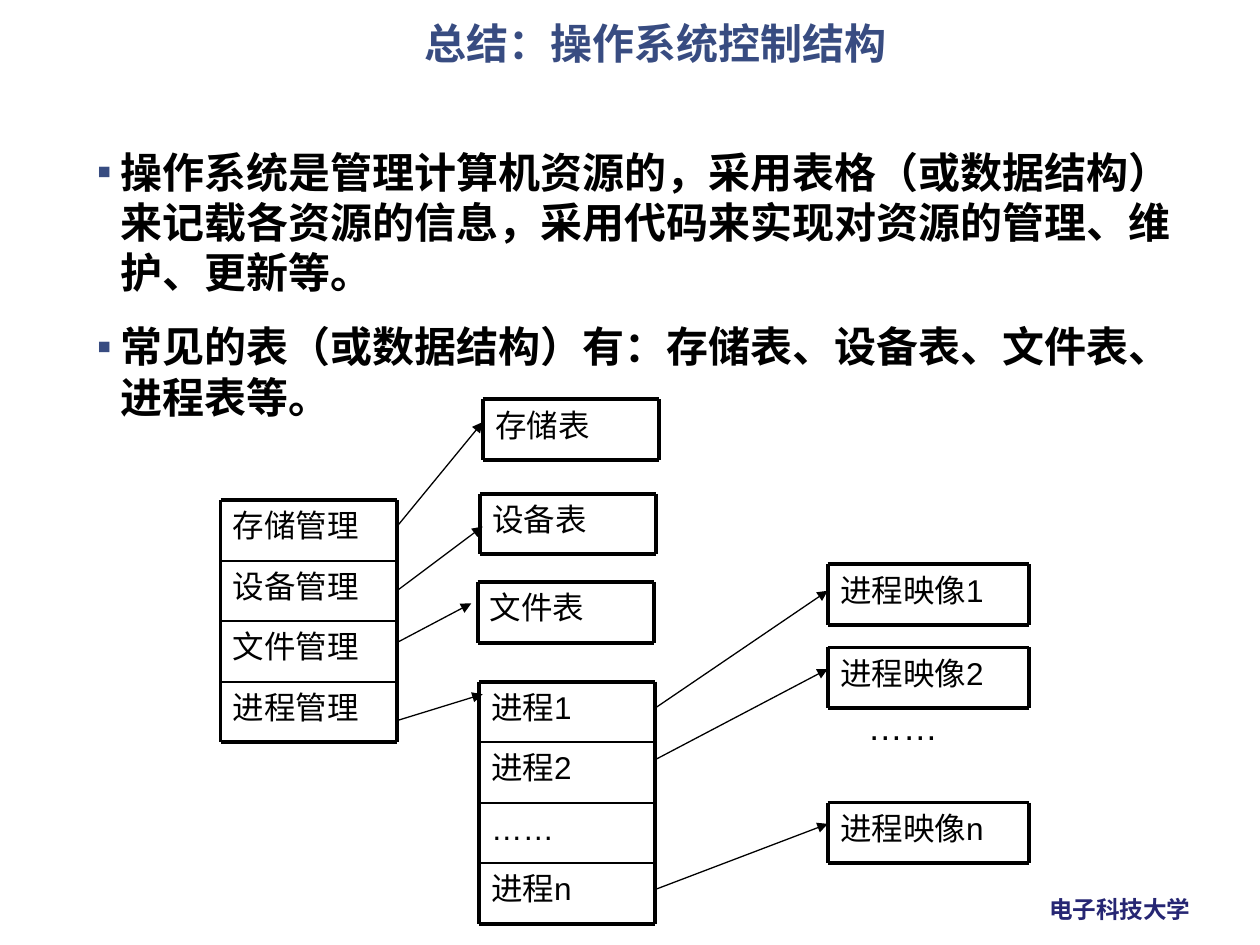
from pptx import Presentation
from pptx.dml.color import RGBColor
from pptx.enum import shapes, text
from pptx.oxml.ns import qn
from pptx.util import Pt
from lxml import etree

BLACK = RGBColor(0x00, 0x00, 0x00)
BLUE = RGBColor(0x38, 0x4C, 0x81)
NAVY = RGBColor(0x26, 0x26, 0x73)
CJK, LATIN = "Noto Sans CJK SC", "Arial"
ROW = 34.6


def style(paragraph, size, color, face, bold=False):
    for run in paragraph.runs:
        font = run.font
        font.size, font.bold, font.name = Pt(size), bold, face
        font.color.rgb = color
        if face == CJK:
            etree.SubElement(run._r.get_or_add_rPr(), qn("a:ea"), typeface=face)


def place(shape, left, top, width, height):
    shape.left, shape.top, shape.width, shape.height = map(Pt, (left, top, width, height))
    frame = shape.text_frame
    frame.auto_size = text.MSO_AUTO_SIZE.NONE
    frame.vertical_anchor = text.MSO_ANCHOR.TOP
    frame.word_wrap = True
    return frame


def add_label(slide, left, top, width, height, words, size, color=BLACK, face=LATIN, bold=False):
    box = slide.shapes.add_textbox(0, 0, 0, 0)
    frame = place(box, left, top, width, height)
    frame.text = words
    style(frame.paragraphs[0], size, color, face, bold)
    return frame


def add_line(slide, x1, y1, x2, y2, weight, arrow=False):
    line = slide.shapes.add_connector(
        shapes.MSO_CONNECTOR.STRAIGHT, Pt(x1), Pt(y1), Pt(x2), Pt(y2))
    line.line.color.rgb = BLACK
    line.line.width = Pt(weight)
    if arrow:
        etree.SubElement(line.line._get_or_add_ln(), qn("a:tailEnd"), type="triangle")
    etree.SubElement(line._element.spPr, qn("a:effectLst"))


def add_stack(slide, left, top, width, labels):
    """Boxed column of equal rows: heavy frame, thin rules between rows."""
    right, bottom = left + width, top + ROW * len(labels)
    for i, label in enumerate(labels):
        add_label(slide, left, top + i * ROW, width, ROW, label, 18)
    for i in range(len(labels) + 1):
        y = top + i * ROW
        add_line(slide, left, y, right, y, 2.25 if i in (0, len(labels)) else 1)
    for x in (left, right):
        add_line(slide, x, top, x, bottom, 2.25)


def add_title(slide, left, top, width, height):
    frame = place(slide.shapes.title, left, top, width, height)
    frame.text = "总结：操作系统控制结构"
    heading = frame.paragraphs[0]
    heading.alignment = text.PP_ALIGN.CENTER
    heading.line_spacing = 0.9
    style(heading, 24, BLUE, CJK, True)


def add_points(slide, left, top, width, height):
    frame = place(slide.placeholders[1], left, top, width, height)
    frame.text = (
        "操作系统是管理计算机资源的，采用表格（或数据结构）来记载各资源的信息，"
        "采用代码来实现对资源的管理、维护、更新等。\n"
        "常见的表（或数据结构）有：存储表、设备表、文件表、进程表等。")
    for i, point in enumerate(frame.paragraphs):
        point.space_before = Pt(13.5 if i else 0)
        props = point._p.get_or_add_pPr()
        props.set("marL", str(Pt(13.5)))
        props.set("indent", str(-Pt(13.5)))
        bullet_color = etree.SubElement(props, qn("a:buClr"))
        etree.SubElement(bullet_color, qn("a:srgbClr"), val=str(BLUE))
        etree.SubElement(props, qn("a:buChar"), char="▪")
        style(point, 24, BLACK, CJK, True)


def add_diagram(slide, left, top):
    """Managers point to their tables; process rows point to process images."""
    tables, images = left + 147.6, left + 347
    add_stack(slide, left, top + 57.6, 100.8, ["存储管理", "设备管理", "文件管理", "进程管理"])
    add_stack(slide, tables, top + 161.3, 100.8, ["进程1", "进程2", "……", "进程n"])
    for dx, dy, label in ((2.2, 0, "存储表"), (0.7, 54, "设备表"), (-0.7, 104.4, "文件表")):
        add_stack(slide, tables + dx, top + dy, 100.8, [label])
    for dy, label in ((94.3, "进程映像1"), (141.8, "进程映像2"), (230.4, "进程映像n")):
        add_stack(slide, images, top + dy, 115.2, [label])
    add_label(slide, images + 15.8, top + 171.4, 70.6, 31, "……", 20)

    managers_right, processes_right = left + 100.8, tables + 100.8
    arrows = (
        (managers_right, 72.7, tables + 2.2, 13),
        (managers_right, 109.4, tables + 2.2, 72.7),
        (managers_right, 139, tables - 4.3, 116.6),
        (managers_right, 183.6, tables + 2.2, 168.5),
        (processes_right, 176.4, images, 109.4),
        (processes_right, 205.9, images, 154.1),
        (processes_right, 280.1, images, 242.6),
    )
    for x1, y1, x2, y2 in arrows:
        add_line(slide, x1, top + y1, x2, top + y2, 0.75, arrow=True)


def add_footer(slide, left, top, width, height):
    frame = add_label(slide, left, top, width, height, "电子科技大学", 13.5, NAVY, CJK, True)
    frame.word_wrap = False


def main():
    deck = Presentation()
    deck.slide_width, deck.slide_height = Pt(720), Pt(540)
    slide = deck.slides.add_slide(deck.slide_layouts[1])
    add_footer(slide, 592.6, 507.6, 96.5, 23.8)
    add_points(slide, 48.2, 79.9, 635.8, 354.2)
    add_diagram(slide, 126, 228.2)
    add_title(slide, 68.4, 9.4, 612, 90)
    deck.save("out.pptx")


if __name__ == "__main__":
    main()
